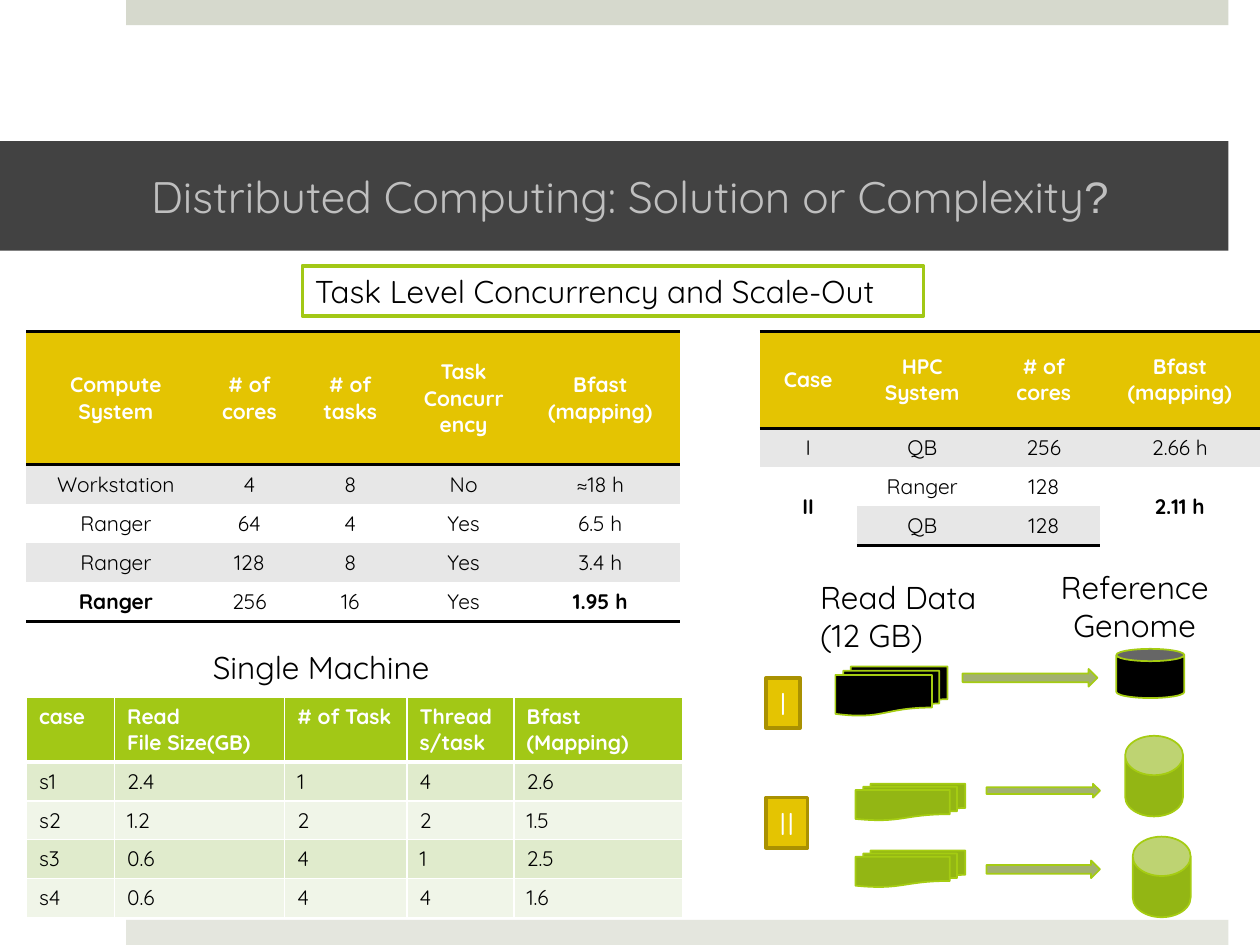
from dataclasses import dataclass, field

from lxml import etree
from pptx import Presentation
from pptx.dml.color import RGBColor
from pptx.enum import shapes, text
from pptx.oxml import ns
from pptx.util import Inches, Pt

BLACK = RGBColor(0x00, 0x00, 0x00)
WHITE = RGBColor(0xFF, 0xFF, 0xFF)
GOLD = RGBColor(0xE4, 0xC4, 0x02)
DARK_GOLD = RGBColor(0xA9, 0x91, 0x01)
GREY = RGBColor(0xE7, 0xE7, 0xE7)
LIME = RGBColor(0xA2, 0xC8, 0x16)
LIME_EDGE = RGBColor(0xA5, 0xCC, 0x12)
LEAF = RGBColor(0x93, 0xB6, 0x14)
SAGE = RGBColor(0xA2, 0xB1, 0x70)
PALE_LIME = RGBColor(0xE0, 0xEB, 0xCC)
PALEST_LIME = RGBColor(0xF0, 0xF5, 0xE8)
TOP_BAR = RGBColor(0xD6, 0xD9, 0xCD)
BOTTOM_BAR = RGBColor(0xE4, 0xE6, 0xDE)
TITLE_FILL = RGBColor(0x42, 0x42, 0x42)
TITLE_TEXT = RGBColor(0xBF, 0xBF, 0xBF)

FONT = "Quicksand"
NO_GRID_STYLE = "{2D5ABB26-0587-4C30-8999-92F81FD0307C}"
LEFT, CENTER = text.PP_ALIGN.LEFT, text.PP_ALIGN.CENTER
TOP, MIDDLE = text.MSO_ANCHOR.TOP, text.MSO_ANCHOR.MIDDLE
Box = tuple[float, float, float, float]


@dataclass
class Results:
    """A table of timings; the first row is the header."""
    left: float
    top: float
    columns: list[float]
    header_height: float
    row_height: float
    rows: list[list[str]]
    header_fill: RGBColor
    bands: tuple[RGBColor, RGBColor]
    ruled: bool = True  # black rules above, under the header and below
    bold: set[tuple[int, int]] = field(default_factory=set)
    merged: list[tuple[int, int, int]] = field(default_factory=list)  # column, first, last


@dataclass
class Mapping:
    """Read files, mapped by an arrow onto a reference genome."""
    reads: Box
    arrow: Box
    genome: Box
    fill: RGBColor
    lid: float = 0.25


def write(frame, words: str, size: float = 18, color: RGBColor = BLACK, bold: bool = False,
          align=LEFT, anchor=TOP, wrap: bool = True) -> None:
    frame.word_wrap = wrap
    frame.vertical_anchor = anchor
    frame.text = words
    for paragraph in frame.paragraphs:
        paragraph.alignment = align
        font = paragraph.font
        font.name, font.size, font.bold = FONT, Pt(size), bold
        font.color.rgb = color


def draw(slide, kind, box: Box, fill: RGBColor, line: RGBColor | None = None, width: float = 1):
    shape = slide.shapes.add_shape(kind, *map(Inches, box))
    shape.shadow.inherit = False
    shape.fill.solid()
    shape.fill.fore_color.rgb = fill
    if line is None:
        shape.line.fill.background()
    else:
        shape.line.color.rgb = line
        shape.line.width = Pt(width)
    return shape


def label(slide, box: Box, words: str, align=LEFT) -> None:
    write(slide.shapes.add_textbox(*map(Inches, box)).text_frame, words, align=align)


def border(cell, side: str, color: RGBColor, width: float) -> None:
    line = etree.SubElement(cell._tc.get_or_add_tcPr(), ns.qn(f"a:ln{side}"), w=str(Pt(width)))
    fill = etree.SubElement(line, ns.qn("a:solidFill"))
    etree.SubElement(fill, ns.qn("a:srgbClr"), val=str(color))


def add_results(slide, results: Results) -> None:
    count = len(results.rows)
    height = results.header_height + (count - 1) * results.row_height
    table = slide.shapes.add_table(
        count, len(results.columns), Inches(results.left), Inches(results.top),
        Inches(sum(results.columns)), Inches(height)).table
    table._tbl.tblPr.find(ns.qn("a:tableStyleId")).text = NO_GRID_STYLE
    for column, width in zip(table.columns, results.columns):
        column.width = Inches(width)
    for r, row in enumerate(results.rows):
        header = r == 0
        table.rows[r].height = Inches(results.header_height if header else results.row_height)
        for c, words in enumerate(row):
            cell = table.cell(r, c)
            # Borders go in before the fill
            if results.ruled:
                if header:
                    border(cell, "T", BLACK, 2)
                if header or r == count - 1:
                    border(cell, "B", BLACK, 2)
            else:
                for side in "LRT":
                    border(cell, side, WHITE, 3 if side == "T" and r == 1 else 1)
                border(cell, "B", WHITE, 3 if header else 1)
            cell.fill.solid()
            cell.fill.fore_color.rgb = results.header_fill if header else results.bands[(r - 1) % 2]
            write(cell.text_frame, words, size=12, color=WHITE if header else BLACK,
                  bold=header or (r, c) in results.bold,
                  align=CENTER if results.ruled else LEFT)
            cell.vertical_anchor = MIDDLE if results.ruled else TOP
    for c, first, last in results.merged:
        table.cell(first, c).merge(table.cell(last, c))


def add_mapping(slide, mapping: Mapping) -> None:
    kinds = shapes.MSO_SHAPE
    draw(slide, kinds.FLOWCHART_MULTIDOCUMENT, mapping.reads, mapping.fill, LIME_EDGE)
    draw(slide, kinds.RIGHT_ARROW, mapping.arrow, SAGE, LIME_EDGE)
    genome = draw(slide, kinds.CAN, mapping.genome, mapping.fill, LIME_EDGE)
    genome.adjustments[0] = mapping.lid


SCALE_OUT = Results(
    0.21, 2.63, [1.42, 0.7, 0.9, 0.9, 1.27], 1.06, 0.31,
    [["Compute System", "# of cores", "# of tasks", "Task Concurrency", "Bfast (mapping)"],
     ["Workstation", "4", "8", "No", "≈18 h"],
     ["Ranger", "64", "4", "Yes", "6.5 h"],
     ["Ranger", "128", "8", "Yes", "3.4 h"],
     ["Ranger", "256", "16", "Yes", "1.95 h"]],
    GOLD, (GREY, WHITE), bold={(4, 0), (4, 4)})
DISTRIBUTED = Results(
    6.03, 2.63, [0.77, 1.04, 0.89, 1.27], 0.77, 0.31,
    [["Case", "HPC System", "# of cores", "Bfast (mapping)"],
     ["I", "QB", "256", "2.66 h"],
     ["II", "Ranger", "128", "2.11 h"],
     ["", "QB", "128", ""]],
    GOLD, (GREY, WHITE), bold={(2, 0), (2, 3)}, merged=[(0, 2, 3), (3, 2, 3)])
SINGLE_MACHINE = Results(
    0.21, 5.53, [0.7, 1.35, 0.97, 0.85, 1.34], 0.5, 0.3,
    [["case", "Read\nFile Size(GB)", "# of Task", "Threads/task", "Bfast\n(Mapping)"],
     ["s1", "2.4", "1", "4", "2.6"],
     ["s2", "1.2", "2", "2", "1.5"],
     ["s3", "0.6", "4", "1", "2.5"],
     ["s4", "0.6", "4", "4", "1.6"]],
    LIME, (PALE_LIME, PALEST_LIME), ruled=False)
MAPPINGS = [
    Mapping((6.63, 5.29, 0.89, 0.39), (7.64, 5.31, 1.07, 0.14), (8.86, 5.15, 0.54, 0.39), BLACK),
    Mapping((6.79, 6.22, 0.87, 0.29), (7.83, 6.22, 0.9, 0.11), (8.93, 5.84, 0.46, 0.64), LEAF, 0.68),
    Mapping((6.79, 6.75, 0.87, 0.29), (7.83, 6.83, 0.9, 0.14), (8.99, 6.64, 0.46, 0.64), LEAF, 0.68),
]


def main() -> None:
    deck = Presentation()
    deck.slide_width, deck.slide_height = Inches(10), Inches(7.5)
    slide = deck.slides.add_slide(deck.slide_layouts[5])
    rectangle = shapes.MSO_SHAPE.RECTANGLE

    # Title band
    title = slide.shapes.title
    title.left, title.top, title.width, title.height = map(Inches, (0, 1.12, 9.75, 0.87))
    title.fill.solid()
    title.fill.fore_color.rgb = TITLE_FILL
    frame = title.text_frame
    frame.auto_size = text.MSO_AUTO_SIZE.NONE
    frame.margin_left, frame.margin_right = Inches(1.2), Inches(0.3)
    write(frame, "Distributed Computing: Solution or Complexity", size=25.2,
          color=TITLE_TEXT, anchor=MIDDLE)
    question_mark = frame.paragraphs[0].add_run()
    question_mark.text = "?"
    question_mark.font.name = "Arial"

    # Edge bars
    draw(slide, rectangle, (1, 0, 8.75, 0.2), TOP_BAR)
    draw(slide, rectangle, (1, 7.3, 8.75, 0.2), BOTTOM_BAR)

    # Tables and their headings
    for results in (SCALE_OUT, DISTRIBUTED, SINGLE_MACHINE):
        add_results(slide, results)
    heading = draw(slide, rectangle, (2.4, 2.11, 4.93, 0.4), WHITE, LIME, 2)
    write(heading.text_frame, "Task Level Concurrency and Scale-Out")
    label(slide, (1.59, 5.09, 2.69, 0.4), "Single Machine")

    # Mapping diagram for cases I and II
    for mapping in MAPPINGS:
        add_mapping(slide, mapping)
    for case, top, width in (("I", 5.38, 0.27), ("II", 6.33, 0.33)):
        badge = draw(slide, rectangle, (6.08, top, width, 0.4), GOLD, DARK_GOLD, 2)
        write(badge.text_frame, case, color=WHITE, align=CENTER, wrap=False)
    label(slide, (6.41, 4.54, 1.55, 0.71), "Read Data\n(12 GB)")
    label(slide, (8.26, 4.46, 1.49, 0.71), "Reference Genome", align=CENTER)

    deck.save("out.pptx")


if __name__ == "__main__":
    main()
